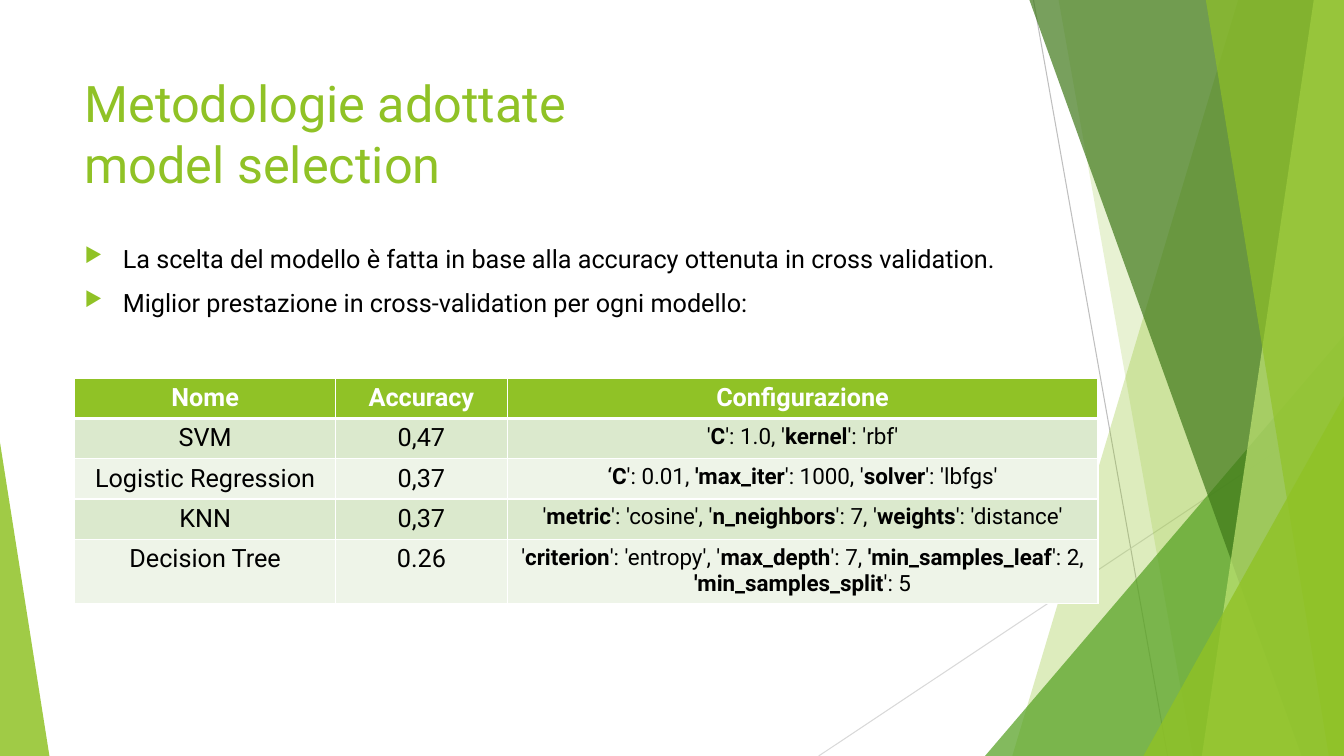
from dataclasses import dataclass

from lxml import etree
from pptx import Presentation
from pptx.dml.color import RGBColor
from pptx.enum.shapes import MSO_CONNECTOR, MSO_SHAPE
from pptx.enum.text import MSO_ANCHOR, PP_ALIGN
from pptx.oxml.ns import qn
from pptx.util import Inches, Pt

STRAIGHT = MSO_CONNECTOR.STRAIGHT
TRIANGLE = MSO_SHAPE.ISOSCELES_TRIANGLE
TOP = MSO_ANCHOR.TOP
CENTER, JUSTIFY = PP_ALIGN.CENTER, PP_ALIGN.JUSTIFY

FONT = "Roboto"
GREEN, WHITE, BLACK = "90C226", "FFFFFF", "000000"
BANDS = ("DBE9CD", "EEF4E8")
WIDTH, HEIGHT = 13.33, 7.5


@dataclass
class Ray:
    start: tuple[float, float]
    end: tuple[float, float]
    color: str


@dataclass
class Blade:
    """Four-sided facet from the top to the bottom edge of the slide."""
    top_left: float
    bottom_left: float
    color: str
    opacity: int


@dataclass
class Wedge:
    """Triangle standing on the bottom edge, with its peak at the given side."""
    left: float
    top: float
    width: float
    peak: float
    color: str
    opacity: int


RAYS = [
    Ray((10.25, 0), (11.58, HEIGHT), "BFBFBF"),
    Ray((WIDTH, 4.03), (8.12, HEIGHT), "D9D9D9"),
]
FACETS = [
    Blade(12.28, 10.04, GREEN, 30),
    Blade(10.5, 11.83, GREEN, 20),
    Wedge(9.77, 3.33, 3.56, 1, "54A021", 72),
    Blade(10.21, 12.91, "3F7819", 70),
    Blade(13.03, 11.92, "C0E474", 70),
    Blade(11.96, 13.18, GREEN, 65),
    Wedge(11.34, 3.93, 1.99, 1, GREEN, 80),
    Wedge(0, 4.39, 0.49, 0, GREEN, 85),
]
TITLE = ["Metodologie adottate", "model selection"]
BULLETS = [
    "La scelta del modello è fatta in base alla accuracy ottenuta in cross validation.",
    "Miglior prestazione in cross-validation per ogni modello:",
]
# Asterisks enclose bold text.
MODELS = [
    ("*Nome*", "*Accuracy*", "*Configurazione*"),
    ("SVM", "0,47", "'*C*': 1.0, '*kernel*': 'rbf'"),
    ("Logistic Regression", "0,37",
     "‘*C*': 0.01, *'max_iter*': 1000, '*solver*': 'lbfgs'"),
    ("KNN", "0,37", "'*metric*': 'cosine', '*n_neighbors*': 7, '*weights*': 'distance'"),
    ("Decision Tree", "0.26",
     "'*criterion*': 'entropy', '*max_depth*': 7, *'min_samples_leaf*': 2, "
     "*'min_samples_split*': 5"),
]
COL_WIDTHS = (2.59, 1.7, 5.86)
ROW_HEIGHTS = (0.39, 0.39, 0.39, 0.39, 0.61)


def rgb(color: str) -> RGBColor:
    return RGBColor.from_string(color)


def add_run(p, text: str, size: float, color: str, bold: bool = False) -> None:
    r = p.add_run()
    r.text = text
    r.font.name, r.font.size, r.font.bold = FONT, Pt(size), bold
    r.font.color.rgb = rgb(color)


def draw_ray(s, ray: Ray) -> None:
    points = [Inches(v) for v in (*ray.start, *ray.end)]
    line = s.shapes.add_connector(STRAIGHT, *points)
    line.line.color.rgb = rgb(ray.color)
    line.line.width = Pt(0.75)
    etree.SubElement(line._element.spPr, qn("a:effectLst"))


def draw_facet(s, facet: Blade | Wedge) -> None:
    if isinstance(facet, Blade):
        corners = [(WIDTH, 0), (WIDTH, HEIGHT), (facet.bottom_left, HEIGHT)]
        builder = s.shapes.build_freeform(Inches(facet.top_left), 0)
        builder.add_line_segments([(Inches(x), Inches(y)) for x, y in corners])
        sp = builder.convert_to_shape()
    else:
        sp = s.shapes.add_shape(TRIANGLE, Inches(facet.left), Inches(facet.top),
                                Inches(facet.width), Inches(HEIGHT - facet.top))
        sp.adjustments[0] = facet.peak
    sp.shadow.inherit = False
    sp.line.fill.background()
    sp.fill.solid()
    sp.fill.fore_color.rgb = rgb(facet.color)
    color = sp._element.spPr.find(qn("a:solidFill"))[0]
    etree.SubElement(color, qn("a:alpha"), val=str(facet.opacity * 1000))


def add_text_frame(s, top: float, height: float):
    box = s.shapes.add_textbox(Inches(0.74), Inches(top), Inches(9.4), Inches(height))
    tf = box.text_frame
    tf.word_wrap = True
    tf.vertical_anchor = TOP
    return tf


def draw_title(s) -> None:
    p = add_text_frame(s, 0.67, 1.44).paragraphs[0]
    for i, line in enumerate(TITLE):
        if i:
            p.add_line_break()
        add_run(p, line, 36, GREEN)


def add_bullet(p) -> None:
    pPr = p._p.get_or_add_pPr()
    pPr.set("marL", str(Inches(0.38)))
    pPr.set("indent", str(-Inches(0.38)))
    color = etree.SubElement(pPr, qn("a:buClr"))
    etree.SubElement(color, qn("a:srgbClr"), val=GREEN)
    etree.SubElement(pPr, qn("a:buSzPct"), val="80000")
    etree.SubElement(pPr, qn("a:buChar"), char="▶")


def draw_bullets(s) -> None:
    tf = add_text_frame(s, 2.36, 4.12)
    for i, text in enumerate(BULLETS):
        p = tf.add_paragraph() if i else tf.paragraphs[0]
        add_bullet(p)
        p.alignment = JUSTIFY
        p.space_before = Pt(10 if i else 0)
        add_run(p, text, 18, BLACK)


def set_borders(cell, top: float, bottom: float) -> None:
    tcPr = cell._tc.get_or_add_tcPr()
    for side, width in zip("LRTB", (1, 1, top, bottom)):
        ln = etree.SubElement(tcPr, qn(f"a:ln{side}"), w=str(Pt(width)))
        fill = etree.SubElement(ln, qn("a:solidFill"))
        etree.SubElement(fill, qn("a:srgbClr"), val=WHITE)


def draw_models(s) -> None:
    frame = s.shapes.add_table(len(MODELS), len(COL_WIDTHS), Inches(0.74), Inches(3.75),
                               Inches(sum(COL_WIDTHS)), Inches(sum(ROW_HEIGHTS)))
    table = frame.table
    for column, width in zip(table.columns, COL_WIDTHS):
        column.width = Inches(width)
    for i, (model, height) in enumerate(zip(MODELS, ROW_HEIGHTS)):
        table.rows[i].height = Inches(height)
        for j, text in enumerate(model):
            cell = table.cell(i, j)
            set_borders(cell, 3 if i == 1 else 1, 3 if i == 0 else 1)
            cell.fill.solid()
            cell.fill.fore_color.rgb = rgb(BANDS[(i - 1) % 2] if i else GREEN)
            p = cell.text_frame.paragraphs[0]
            p.alignment = CENTER
            size = 16 if i and j == 2 else 18
            for k, part in enumerate(text.split("*")):
                if part:
                    add_run(p, part, size, BLACK if i else WHITE, k % 2 == 1)


def main() -> None:
    prs = Presentation()
    prs.slide_width, prs.slide_height = Inches(WIDTH), Inches(HEIGHT)
    s = prs.slides.add_slide(prs.slide_layouts[6])
    for ray in RAYS:
        draw_ray(s, ray)
    for facet in FACETS:
        draw_facet(s, facet)
    draw_title(s)
    draw_bullets(s)
    draw_models(s)
    prs.save("out.pptx")


if __name__ == "__main__":
    main()
